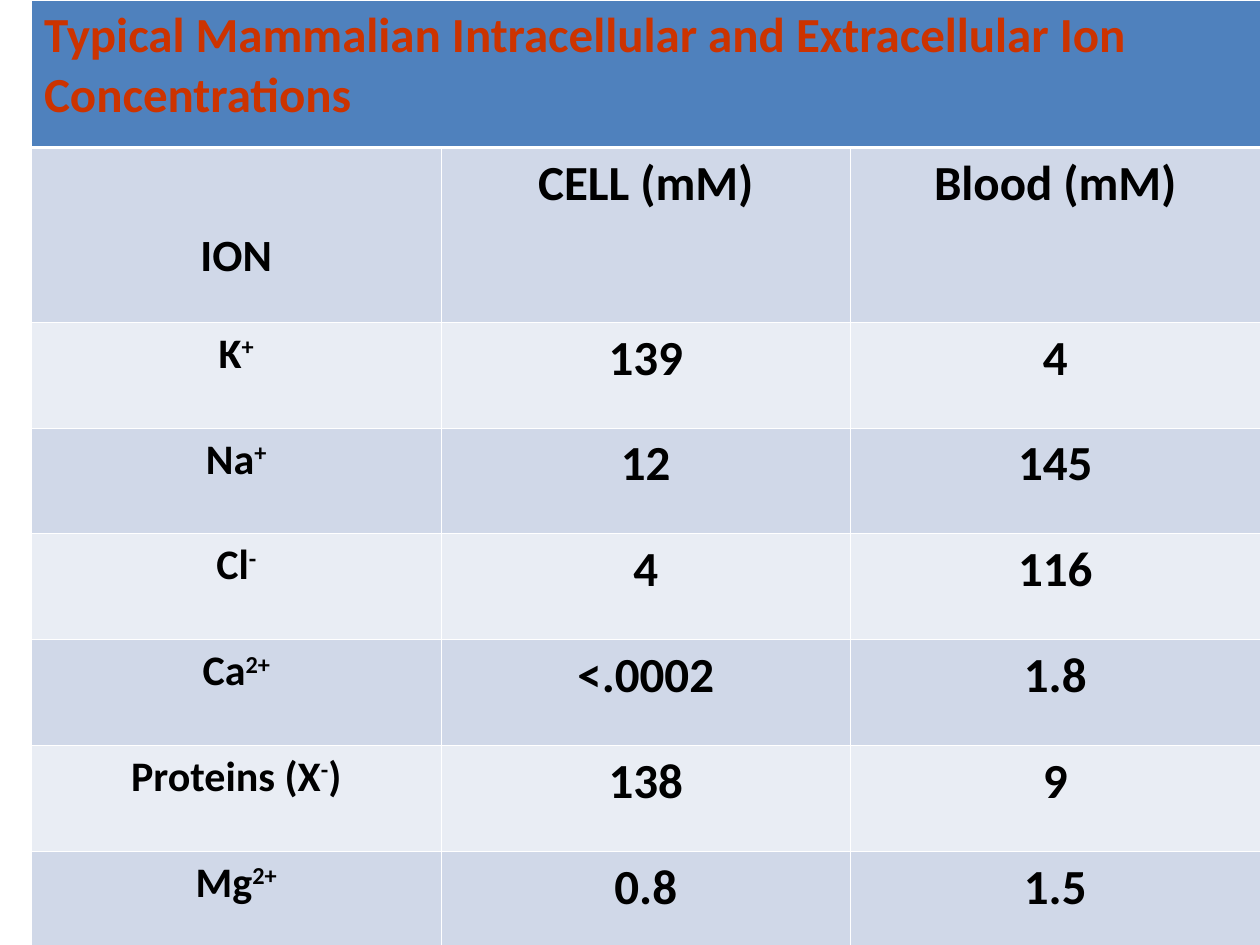
from lxml import etree
from pptx import Presentation
from pptx.dml.color import RGBColor
from pptx.enum.text import PP_ALIGN
from pptx.oxml.ns import qn
from pptx.util import Inches, Pt

CENTER, LEFT = PP_ALIGN.CENTER, PP_ALIGN.LEFT
COLORS = {"head": "4F81BD", "dark": "D0D8E8", "light": "E9EDF4",
          "title": "CC3300", "text": "000000", "rule": "FFFFFF"}
TITLE = "Typical Mammalian Intracellular and Extracellular Ion Concentrations"
HEADS = ("CELL (mM)", "Blood (mM)")
IONS = [
    (("K", "+"), "139", "4"),
    (("Na", "+"), "12", "145"),
    (("Cl", "-"), "4", "116"),
    (("Ca", "2+"), "<.0002", "1.8"),
    (("Proteins (X", "-", ")"), "138", "9"),
    (("Mg", "2+"), "0.8", "1.5"),
]
ROWS = [1.17, 1.37] + [0.84] * 5 + [0.83]
THIN, THICK = 0.45, 1.47


def write(cell, parts, size, color="text", align=CENTER, raised=(1,)):
    para = cell.text_frame.paragraphs[0]
    para.alignment = align
    for i, part in enumerate(parts):
        run = para.add_run()
        run.text = part
        font = run.font
        font.name, font.size, font.bold = "Calibri", Pt(size), True
        font.color.rgb = RGBColor.from_string(COLORS[color])
        if i in raised:
            font._element.set("baseline", "30000")


def rule(cell, top, bottom):
    props = cell._tc.get_or_add_tcPr()
    widths = {"lnL": THIN, "lnR": THIN, "lnT": top, "lnB": bottom}
    for i, (tag, width) in enumerate(widths.items()):
        line = etree.Element(qn("a:" + tag), w=str(Pt(width)))
        fill = etree.SubElement(line, qn("a:solidFill"))
        etree.SubElement(fill, qn("a:srgbClr"), val=COLORS["rule"])
        props.insert(i, line)


def paint(table):
    for r, row in enumerate(table.rows):
        tone = "head" if r == 0 else "dark" if r % 2 else "light"
        for cell in row.cells:
            cell.fill.solid()
            cell.fill.fore_color.rgb = RGBColor.from_string(COLORS[tone])
            rule(cell, THICK if r == 1 else THIN, THICK if r == 0 else THIN)


def add_ions(slide, left, top, width, height):
    table = slide.shapes.add_table(len(ROWS), 3, left, top, width, height).table
    for col in table.columns:
        col.width = width // 3
    for row, size in zip(table.rows, ROWS):
        row.height = Inches(size)
    paint(table)
    table.cell(0, 0).merge(table.cell(0, 2))
    write(table.cell(0, 0), [TITLE], 28, "title", LEFT)
    ion = table.cell(1, 0)
    ion.margin_top = Inches(0.59)
    write(ion, ["ION"], 44, raised=(0,))
    for c, head in enumerate(HEADS, 1):
        write(table.cell(1, c), [head], 28)
    for r, (name, *values) in enumerate(IONS, 2):
        write(table.cell(r, 0), name, 24)
        for c, value in enumerate(values, 1):
            write(table.cell(r, c), [value], 28)


def main():
    deck = Presentation()
    deck.slide_width, deck.slide_height = Inches(10), Inches(7.5)
    slide = deck.slides.add_slide(deck.slide_layouts[6])
    add_ions(slide, Inches(0.25), Inches(0), Inches(9.75), Inches(sum(ROWS)))
    deck.save("out.pptx")


if __name__ == "__main__":
    main()
